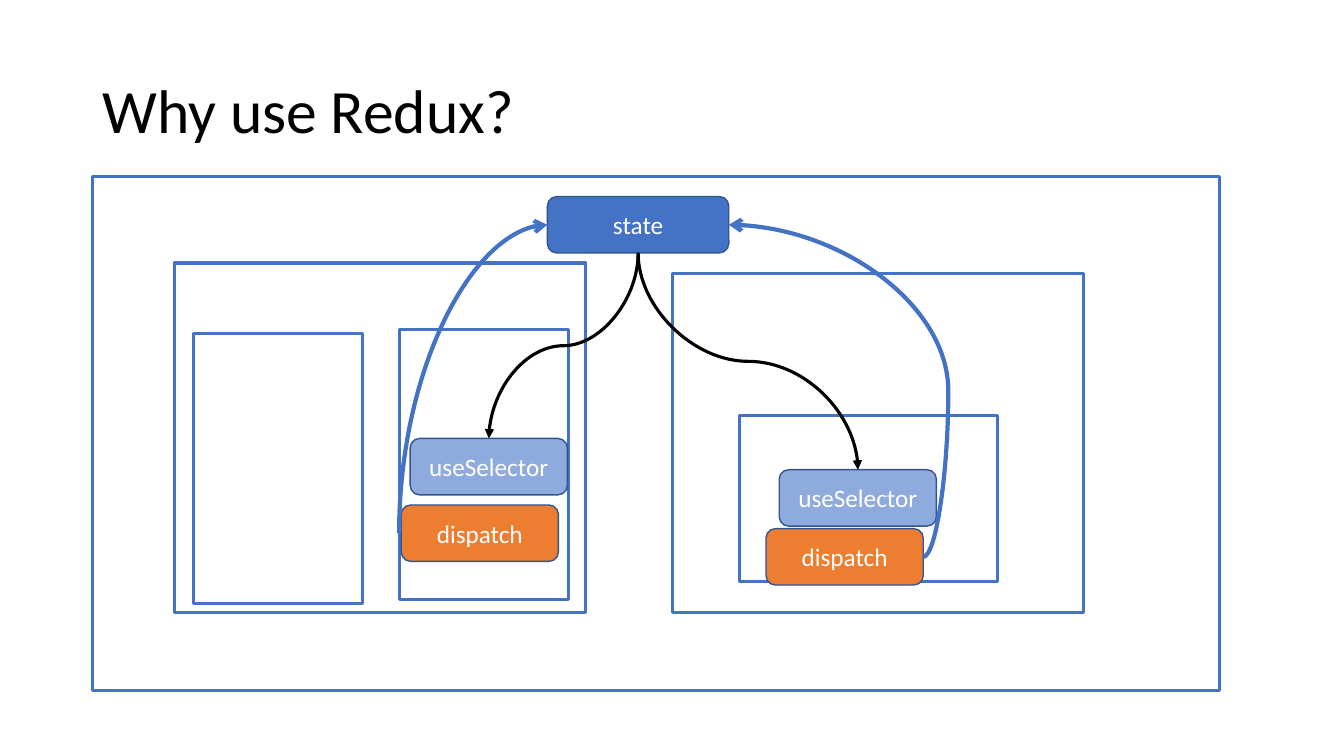
from lxml import etree
from pptx import Presentation
from pptx.dml.color import RGBColor
from pptx.enum.shapes import MSO_CONNECTOR, MSO_SHAPE
from pptx.enum.text import MSO_ANCHOR, PP_ALIGN
from pptx.oxml.ns import qn
from pptx.util import Pt

RECTANGLE, ROUNDED = MSO_SHAPE.RECTANGLE, MSO_SHAPE.ROUNDED_RECTANGLE
CURVE = MSO_CONNECTOR.CURVE
MIDDLE, CENTER = MSO_ANCHOR.MIDDLE, PP_ALIGN.CENTER
BLUE, BLACK, WHITE = "4472C4", "000000", "FFFFFF"
LIGHT_BLUE, ORANGE, EDGE = "8FAADC", "ED7D31", "325491"
PILL_HEIGHT = 40.3


def color(hex_string):
    return RGBColor.from_string(hex_string)


def curved_arrow(start, end, turn, preset, adjust, hue, width, head):
    """Draw a curve from start to end whose frame is turned by 0, 90 or 270 degrees."""
    center_x, center_y = (start[0] + end[0]) / 2, (start[1] + end[1]) / 2
    x, y = start[0] - center_x, start[1] - center_y
    x, y = {0: (x, y), 90: (y, -x), 270: (-y, x)}[turn]
    arrow = slide.shapes.add_connector(
        CURVE, Pt(center_x + x), Pt(center_y + y), Pt(center_x - x), Pt(center_y - y))
    arrow.line.color.rgb = color(hue)
    arrow.line.width = Pt(width)
    properties = arrow._element.spPr
    properties.find(qn("a:xfrm")).set("rot", str(turn * 60000))
    geometry = properties.find(qn("a:prstGeom"))
    geometry.set("prst", preset)
    if adjust is not None:
        guide = etree.SubElement(geometry.find(qn("a:avLst")), qn("a:gd"))
        guide.set("name", "adj1")
        guide.set("fmla", f"val {adjust}")
    etree.SubElement(properties.find(qn("a:ln")), qn("a:tailEnd")).set("type", head)
    etree.SubElement(properties, qn("a:effectLst"))


presentation = Presentation()
presentation.slide_width, presentation.slide_height = Pt(960), Pt(540)
slide = presentation.slides.add_slide(presentation.slide_layouts[6])

# Title
title = slide.shapes.add_textbox(Pt(66), Pt(28.8), Pt(828), Pt(104.4)).text_frame
title.word_wrap = True
title.vertical_anchor = MIDDLE
title.text = "Why use Redux?"
heading = title.paragraphs[0]
heading.line_spacing = 0.9
heading.runs[0].font.size = Pt(44)
heading.runs[0].font.name = "Calibri"
heading.runs[0].font.color.rgb = color(BLACK)

# Nested component frames
frames = [
    (124.6, 187.9, 293.8, 249.8),
    (480.2, 195.1, 293.8, 242.6),
    (66.2, 126, 805, 367.2),
    (138.2, 238.3, 121, 193),
    (285.1, 235.4, 121, 193),
    (528.5, 296.6, 184.3, 118.8),
]
for frame in frames:
    component = slide.shapes.add_shape(RECTANGLE, *map(Pt, frame))
    component.shadow.inherit = False
    component.fill.background()
    component.line.color.rgb = color(BLUE)
    component.line.width = Pt(2.25)

# State, selectors and dispatchers
pills = [
    ("state", 391, 140.4, 129.6, BLUE),
    ("useSelector", 556.6, 335.5, 112.3, LIGHT_BLUE),
    ("useSelector", 293, 313.2, 112.3, LIGHT_BLUE),
    ("dispatch", 286.6, 360.7, 112.3, ORANGE),
    ("dispatch", 547.2, 377.6, 112.3, ORANGE),
]
for label, left, top, width, fill in pills:
    pill = slide.shapes.add_shape(ROUNDED, Pt(left), Pt(top), Pt(width), Pt(PILL_HEIGHT))
    pill.shadow.inherit = False
    pill.fill.solid()
    pill.fill.fore_color.rgb = color(fill)
    pill.line.color.rgb = color(EDGE)
    pill.line.width = Pt(1)
    pill.text_frame.vertical_anchor = MIDDLE
    pill.text_frame.text = label
    caption = pill.text_frame.paragraphs[0]
    caption.alignment = CENTER
    caption.runs[0].font.size = Pt(18)
    caption.runs[0].font.name = "Calibri"
    caption.runs[0].font.color.rgb = color(WHITE)

# State flows down to the selectors
state_bottom = (455.8, 180.7)
for selector_top, turn in [((349.2, 313.2), 90), ((612.8, 335.5), 270)]:
    curved_arrow(state_bottom, selector_top, turn, "curvedConnector3", 50000,
                 BLACK, 2.25, "triangle")

# Dispatchers send back up to the state
curved_arrow((285.1, 380.9), (391, 160.6), 90, "curvedConnector2", None, BLUE, 3, "arrow")
curved_arrow((659.5, 397.8), (520.6, 160.6), 0, "curvedConnector3", -12900, BLUE, 3, "arrow")

presentation.save("out.pptx")
